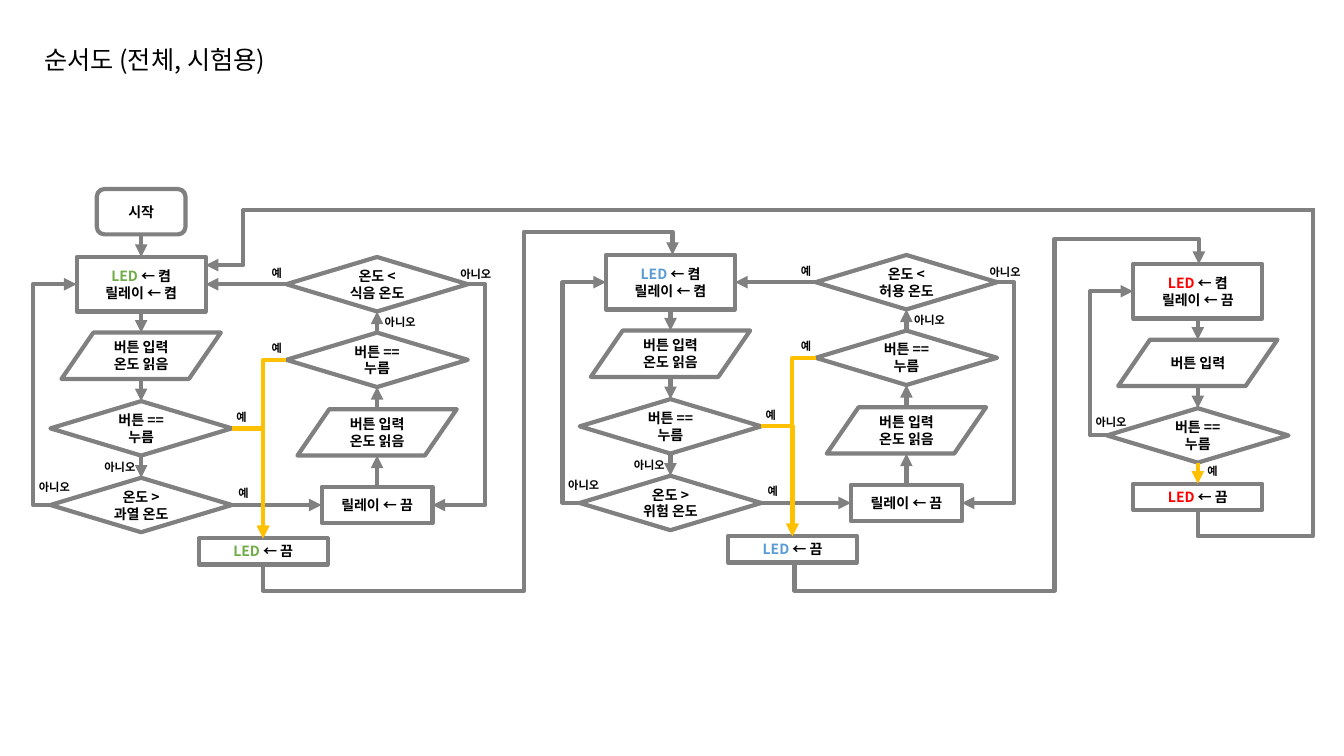
from dataclasses import dataclass
from typing import NamedTuple

from lxml.etree import SubElement
from pptx import Presentation
from pptx.dml.color import RGBColor
from pptx.enum.shapes import MSO_CONNECTOR as Link, MSO_SHAPE as Kind
from pptx.enum.text import MSO_ANCHOR as Anchor, MSO_AUTO_SIZE as AutoSize, PP_ALIGN as Align
from pptx.oxml.ns import qn
from pptx.util import Pt

PX = 9144  # 100 px to the inch
TOP, LEFT, BOTTOM, RIGHT = range(4)
Point = tuple[int, int]


@dataclass(frozen=True)
class Theme:
    font: str = "Noto Sans CJK KR"
    ink: str = "000000"
    line: str = "808080"
    pressed: str = "FFC000"
    green: str = "70AD47"
    blue: str = "5B9BD5"
    red: str = "FF0000"
    title: int = 18
    body: int = 10
    label: int = 8
    stroke: int = 3


class Form(NamedTuple):
    kind: Kind
    w: int
    h: int


class Node(NamedTuple):
    """One flowchart symbol, placed by its centre."""
    name: str
    form: Form
    cx: int
    cy: int
    text: str


class Label(NamedTuple):
    text: str
    x: int
    y: int


class Arrow(NamedTuple):
    start: str
    start_side: int
    end: str
    end_side: int
    color: str


T = Theme()
START = Form(Kind.FLOWCHART_ALTERNATE_PROCESS, 88, 45)
STEP = Form(Kind.FLOWCHART_PROCESS, 128, 54)
RELAY = Form(Kind.FLOWCHART_PROCESS, 110, 36)
LED_OFF = Form(Kind.FLOWCHART_PROCESS, 128, 26)
INPUT = Form(Kind.FLOWCHART_DATA, 158, 46)
TEST = Form(Kind.FLOWCHART_DECISION, 180, 54)
YES, NO = "예", "아니오"
LABEL_WIDTH = {YES: 31, NO: 54}
READ, PRESSED = "버튼 입력\n온도 읽음", "버튼 ==\n누름"

prs = Presentation()
prs.slide_width, prs.slide_height = 1333 * PX, 750 * PX
s = prs.slides.add_slide(prs.slide_layouts[6])


def style_run(r, size: int, color: str, bold: bool) -> None:
    r.font.name, r.font.size, r.font.bold = T.font, Pt(size), bold
    r.font.color.rgb = RGBColor.from_string(color)
    SubElement(r.font._element, qn("a:ea"), typeface=T.font)


def add_text(text: str, x: int, y: int, w: int, h: int, size: int,
             align: Align, bold: bool, wrap: bool) -> None:
    tf = s.shapes.add_textbox(x * PX, y * PX, w * PX, h * PX).text_frame
    tf.text, tf.word_wrap, tf.auto_size = text, wrap, AutoSize.SHAPE_TO_FIT_TEXT
    p = tf.paragraphs[0]
    p.alignment = align
    style_run(p.runs[0], size, T.ink, bold)


def add_label(label: Label, dx: int = 0, dy: int = 0) -> None:
    add_text(label.text, label.x + dx, label.y + dy, LABEL_WIDTH[label.text], 24,
             T.label, Align.CENTER, True, False)


def add_node(node: Node, led: str, dx: int = 0, dy: int = 0):
    """Draw a symbol; the word LED takes the colour of its lamp."""
    kind, w, h = node.form
    sp = s.shapes.add_shape(kind, int((node.cx + dx - w / 2) * PX),
                            int((node.cy + dy - h / 2) * PX), w * PX, h * PX)
    sp.shadow.inherit = False
    sp.fill.background()
    sp.line.color.rgb, sp.line.width = RGBColor.from_string(T.line), Pt(T.stroke)
    tf = sp.text_frame
    tf.text, tf.word_wrap, tf.vertical_anchor = node.text, True, Anchor.MIDDLE
    for p in tf.paragraphs:
        p.alignment = Align.CENTER
        if p.text.startswith("LED"):
            rest = p.text.removeprefix("LED")
            p.text = "LED"
            p.add_run().text = rest
        for r in p.runs:
            style_run(r, T.body, led if r.text == "LED" else T.ink, True)
    return sp


def style_line(c, color: str, head: bool = True) -> None:
    c.line.color.rgb, c.line.width = RGBColor.from_string(color), Pt(T.stroke)
    props = c.element.spPr
    if head:
        SubElement(props.find(qn("a:ln")), qn("a:tailEnd"), type="triangle")
    SubElement(props, qn("a:effectLst"))


def side_point(sp, side: int) -> Point:
    x, y = sp.left + sp.width // 2, sp.top + sp.height // 2
    return {TOP: (x, sp.top), LEFT: (sp.left, y), BOTTOM: (x, sp.top + sp.height),
            RIGHT: (sp.left + sp.width, y)}[side]


def add_arrow(arrow: Arrow, shapes: dict) -> None:
    """Draw a straight arrow, joined wherever it meets anything but a parallelogram."""
    a, b = shapes[arrow.start], shapes[arrow.end]
    c = s.shapes.add_connector(Link.STRAIGHT, *side_point(a, arrow.start_side),
                               *side_point(b, arrow.end_side))
    if a.auto_shape_type != INPUT.kind:
        c.begin_connect(a, arrow.start_side)
    if b.auto_shape_type != INPUT.kind:
        c.end_connect(b, arrow.end_side)
    style_line(c, arrow.color)


def add_elbow(points: list[Point], color: str = T.line, head: bool = True) -> None:
    """Draw one bent connector through right-angled points."""
    (x1, y1), (x2, y2) = begin, end = points[0], points[-1]
    upright = int(points[1][0] == x1)
    ends = (x1, y1, x2, y2)
    if upright:  # laid out on its side, then turned a quarter
        cx, cy, hx, hy = (x1 + x2) / 2, (y1 + y2) / 2, (x2 - x1) / 2, (y2 - y1) / 2
        ends = (cx - hy, cy + hx, cx + hy, cy - hx)
    c = s.shapes.add_connector(Link.ELBOW, *(int(v * PX) for v in ends))
    props = c.element.spPr
    if upright:
        props.find(qn("a:xfrm")).set("rot", "5400000")
    geom = props.find(qn("a:prstGeom"))
    geom.set("prst", f"bentConnector{len(points) - 1}")
    for i in range(1, len(points) - 2):
        axis = (upright + i - 1) % 2
        ratio = (points[i][axis] - begin[axis]) / (end[axis] - begin[axis])
        SubElement(geom.find(qn("a:avLst")), qn("a:gd"), name=f"adj{i}",
                   fmla=f"val {round(ratio * 100000)}")
    style_line(c, color, head)


def add_heat_stage(dx: int, dy: int, led: str, cool: str, hot: str) -> dict:
    """Draw one relay loop with its cooling branch."""
    nodes = [
        Node("on", STEP, 140, 282, "LED ← 켬\n릴레이 ← 켬"),
        Node("read", INPUT, 140, 353, READ), Node("press", TEST, 140, 425, PRESSED),
        Node("hot", TEST, 140, 501, f"온도 >\n{hot} 온도"),
        Node("relay", RELAY, 374, 501, "릴레이 ← 끔"),
        Node("reread", INPUT, 374, 429, READ), Node("repress", TEST, 374, 357, PRESSED),
        Node("cool", TEST, 374, 282, f"온도 <\n{cool} 온도"),
        Node("off", LED_OFF, 261, 547, "LED ← 끔"),
    ]
    shapes = {n.name: add_node(n, led, dx, dy) for n in nodes}
    down, up = ("on", "read", "press", "hot"), ("relay", "reread", "repress", "cool")
    arrows = [Arrow(a, BOTTOM, b, TOP, T.line) for a, b in zip(down, down[1:])]
    arrows += [Arrow(a, TOP, b, BOTTOM, T.line) for a, b in zip(up, up[1:])]
    arrows += [Arrow("hot", RIGHT, "relay", LEFT, T.line),
               Arrow("cool", LEFT, "on", RIGHT, T.line)]
    for arrow in arrows:
        add_arrow(arrow, shapes)
    for path, color in (
        ([(50, 501), (33, 501), (33, 282), (76, 282)], T.line),
        ([(464, 282), (481, 282), (481, 501), (429, 501)], T.line),
        ([(284, 357), (261, 357), (261, 534)], T.pressed),
        ([(230, 425), (261, 425), (261, 534)], T.pressed),
    ):
        add_elbow([(x + dx, y + dy) for x, y in path], color)
    for label in (Label(NO, 27, 472), Label(NO, 92, 452), Label(NO, 370, 308),
                  Label(NO, 445, 260), Label(YES, 259, 259), Label(YES, 226, 478),
                  Label(YES, 259, 334), Label(YES, 224, 402)):
        add_label(label, dx, dy)
    return shapes


def add_alarm_stage() -> None:
    nodes = [Node("on", STEP, 1188, 289, "LED ← 켬\n릴레이 ← 끔"),
             Node("read", INPUT, 1188, 360, "버튼 입력"),
             Node("press", TEST, 1188, 432, PRESSED),
             Node("off", LED_OFF, 1188, 493, "LED ← 끔")]
    shapes = {n.name: add_node(n, T.red) for n in nodes}
    for a, b in zip(nodes, nodes[1:]):
        color = T.pressed if b.name == "off" else T.line
        add_arrow(Arrow(a.name, BOTTOM, b.name, TOP, color), shapes)
    add_elbow([(1098, 432), (1081, 432), (1081, 289), (1124, 289)])
    add_label(Label(YES, 1187, 456))
    add_label(Label(NO, 1075, 407))


add_text("순서도 (전체, 시험용)", 34, 39, 261, 40, T.title, Align.LEFT, False, True)
first = add_heat_stage(0, 0, T.green, "식음", "과열")
first["start"] = add_node(Node("start", START, 140, 210, "시작"), T.ink)
add_arrow(Arrow("start", BOTTOM, "on", TOP, T.line), first)
add_heat_stage(525, -2, T.blue, "허용", "위험")
add_alarm_stage()
add_elbow([(261, 560), (261, 586), (520, 586), (520, 230), (667, 230), (667, 253)])
add_elbow([(788, 558), (788, 586), (1046, 586), (1046, 237), (1189, 237), (1189, 262)])
add_elbow([(1188, 506), (1188, 532), (1302, 532), (1302, 206)], head=False)
add_elbow([(1303, 208), (241, 208), (241, 263), (204, 263)])
prs.save("out.pptx")
